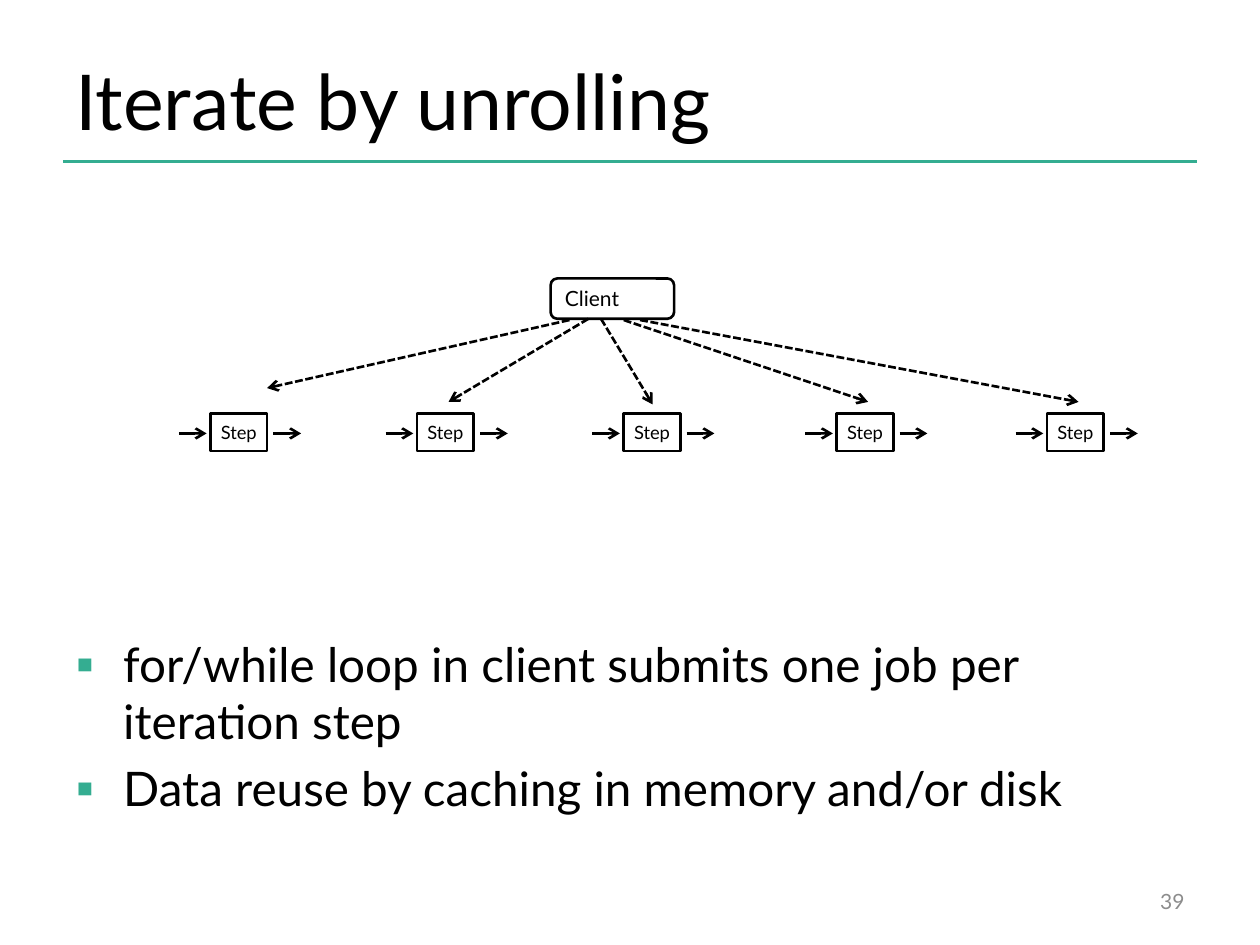
from dataclasses import dataclass

from lxml.etree import SubElement
from pptx import Presentation
from pptx.dml.color import RGBColor
from pptx.enum.dml import MSO_LINE
from pptx.enum.shapes import MSO_CONNECTOR, MSO_SHAPE
from pptx.enum.text import MSO_ANCHOR, PP_ALIGN
from pptx.oxml.ns import qn
from pptx.shapes.autoshape import Shape
from pptx.slide import Slide
from pptx.text.text import TextFrame, _Paragraph
from pptx.util import Inches, Pt

FONT = "Lato"
BLACK, WHITE, GREEN, GRAY = "000000", "FFFFFF", "34AD91", "8C8C8C"
STEP_WIDTH, STEP_HEIGHT, STEP_TOP = 0.45, 0.3, 3.28
FLOW_Y, FLOW_LENGTH, GAP_BEFORE, GAP_AFTER = 3.44, 0.22, 0.03, 0.05


@dataclass(frozen=True)
class Box:
    """Position and size in inches."""
    left: float
    top: float
    width: float
    height: float

    def emu(self) -> list[int]:
        """Return the four lengths for python-pptx."""
        return [Inches(v) for v in (self.left, self.top, self.width, self.height)]


@dataclass(frozen=True)
class Submission:
    """A job sent from the client to one step."""
    start: tuple[float, float]
    end: tuple[float, float]


STEP_LEFTS = (1.67, 3.31, 4.95, 6.64, 8.31)
SUBMISSIONS = (
    Submission((4.52, 2.54), (2.12, 3.08)),
    Submission((4.95, 2.54), (6.89, 3.19)),
    Submission((5.08, 2.54), (8.56, 3.19)),
    Submission((4.77, 2.53), (5.18, 3.21)),
    Submission((4.67, 2.53), (3.56, 3.19)),
)
POINTS = (
    "for/while loop in client submits one job per iteration step",
    "Data reuse by caching in memory and/or disk",
)


def rgb(value: str) -> RGBColor:
    """Turn a hex string into a colour."""
    return RGBColor.from_string(value)


def add_run(paragraph: _Paragraph, text: str, size: float, color: str = BLACK) -> None:
    """Append a styled run."""
    run = paragraph.add_run()
    run.text = text
    run.font.name = FONT
    run.font.size = Pt(size)
    run.font.color.rgb = rgb(color)


def add_text(slide: Slide, box: Box, anchor: MSO_ANCHOR) -> TextFrame:
    """Add an empty wrapping text box."""
    frame = slide.shapes.add_textbox(*box.emu()).text_frame
    frame.word_wrap = True
    frame.vertical_anchor = anchor
    return frame


def add_node(slide: Slide, preset: MSO_SHAPE, box: Box, label: str,
             size: float, align: PP_ALIGN) -> Shape:
    """Add a white outlined node with a label."""
    node = slide.shapes.add_shape(preset, *box.emu())
    node.shadow.inherit = False
    node.fill.solid()
    node.fill.fore_color.rgb = rgb(WHITE)
    node.line.color.rgb = rgb(BLACK)
    node.line.width = Pt(1.5)
    node.text_frame.vertical_anchor = MSO_ANCHOR.MIDDLE
    paragraph = node.text_frame.paragraphs[0]
    paragraph.alignment = align
    add_run(paragraph, label, size)
    return node


def add_line(slide: Slide, start: tuple[float, float], end: tuple[float, float],
             color: str = BLACK, width: float = 1.5, dashed: bool = False,
             arrow: bool = True) -> None:
    """Draw a straight line, with an arrowhead by default."""
    line = slide.shapes.add_connector(
        MSO_CONNECTOR.STRAIGHT, *(Inches(v) for v in start + end))
    line.line.color.rgb = rgb(color)
    line.line.width = Pt(width)
    if dashed:
        line.line.dash_style = MSO_LINE.SQUARE_DOT
    if arrow:
        SubElement(line.line._get_or_add_ln(), qn("a:tailEnd"), type="arrow")
    SubElement(line._element.spPr, qn("a:effectLst"))


def add_step(slide: Slide, left: float) -> None:
    """Draw a step with its incoming and outgoing arrows."""
    node = add_node(slide, MSO_SHAPE.RECTANGLE,
                    Box(left, STEP_TOP, STEP_WIDTH, STEP_HEIGHT),
                    "Step", 10.5, PP_ALIGN.CENTER)
    frame = node.text_frame
    frame.word_wrap = False
    frame.margin_left = frame.margin_right = Inches(0.04)
    inflow = left - GAP_BEFORE - FLOW_LENGTH
    outflow = left + STEP_WIDTH + GAP_AFTER
    for start in (inflow, outflow):
        add_line(slide, (start, FLOW_Y), (start + FLOW_LENGTH, FLOW_Y))


def add_bullet(paragraph: _Paragraph, text: str) -> None:
    """Write a point with a green square bullet and hanging indent."""
    properties = paragraph._p.get_or_add_pPr()
    properties.set("marL", str(Inches(0.38)))
    properties.set("indent", str(Inches(-0.38)))
    color = SubElement(properties, qn("a:buClr"))
    SubElement(color, qn("a:srgbClr"), val=GREEN)
    SubElement(properties, qn("a:buFont"), typeface=FONT)
    SubElement(properties, qn("a:buChar"), char="▪")
    add_run(paragraph, text, 27.2)


def main() -> None:
    """Build and save the slide."""
    deck = Presentation()
    deck.slide_width, deck.slide_height = Inches(10), Inches(7.5)
    slide = deck.slides.add_slide(deck.slide_layouts[6])

    add_line(slide, (0.5, 1.28), (9.5, 1.28), GREEN, 2, arrow=False)
    title = add_text(slide, Box(0.5, 0.3, 8.17, 0.98), MSO_ANCHOR.MIDDLE)
    add_run(title.paragraphs[0], "Iterate by unrolling", 44)

    body = add_text(slide, Box(0.5, 4.99, 9, 1.71), MSO_ANCHOR.TOP)
    for index, point in enumerate(POINTS):
        paragraph = body.add_paragraph() if index else body.paragraphs[0]
        if index:
            paragraph.space_before = Pt(5.4)
        add_bullet(paragraph, point)

    for left in STEP_LEFTS:
        add_step(slide, left)
    add_node(slide, MSO_SHAPE.ROUNDED_RECTANGLE, Box(4.37, 2.21, 0.98, 0.32),
             "Client", 12, PP_ALIGN.LEFT)
    for submission in SUBMISSIONS:
        add_line(slide, submission.start, submission.end, dashed=True)

    number = add_text(slide, Box(7.17, 6.95, 2.33, 0.4), MSO_ANCHOR.MIDDLE)
    number.paragraphs[0].alignment = PP_ALIGN.RIGHT
    add_run(number.paragraphs[0], "39", 12, GRAY)

    deck.save("out.pptx")


if __name__ == "__main__":
    main()
